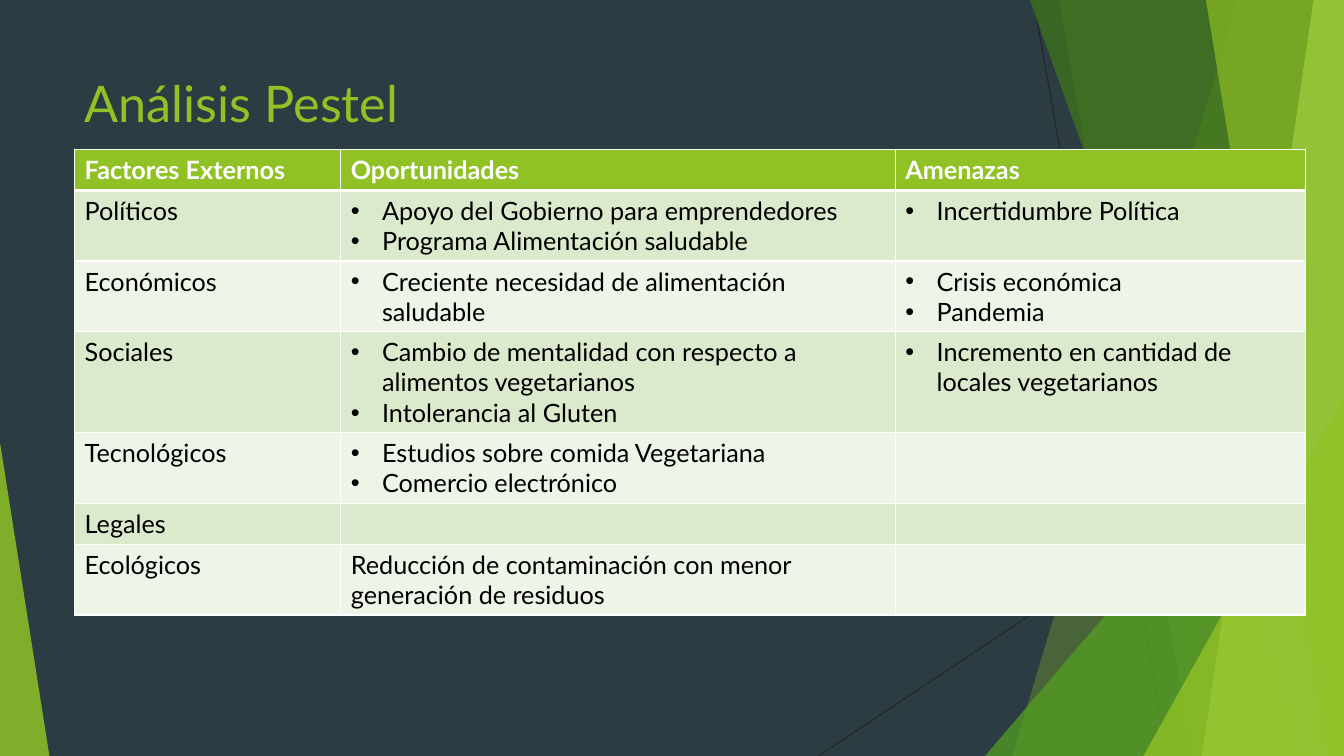
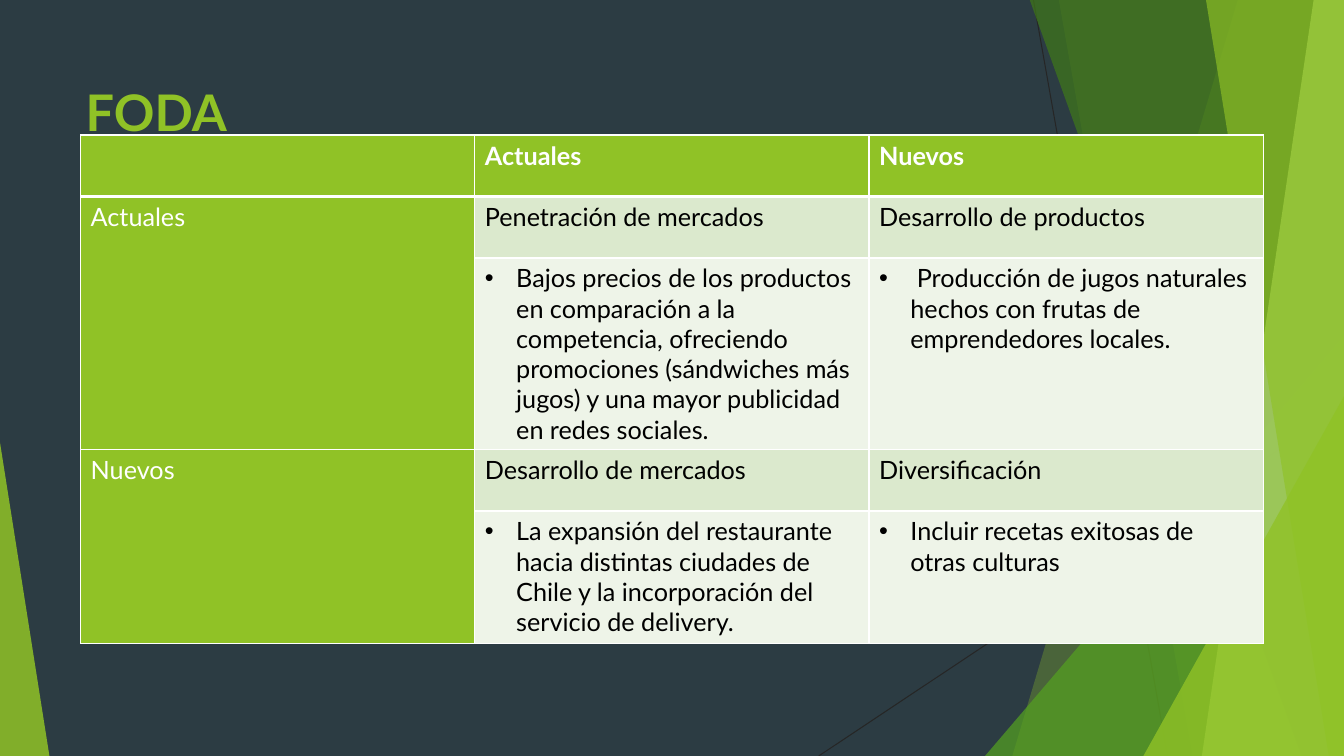
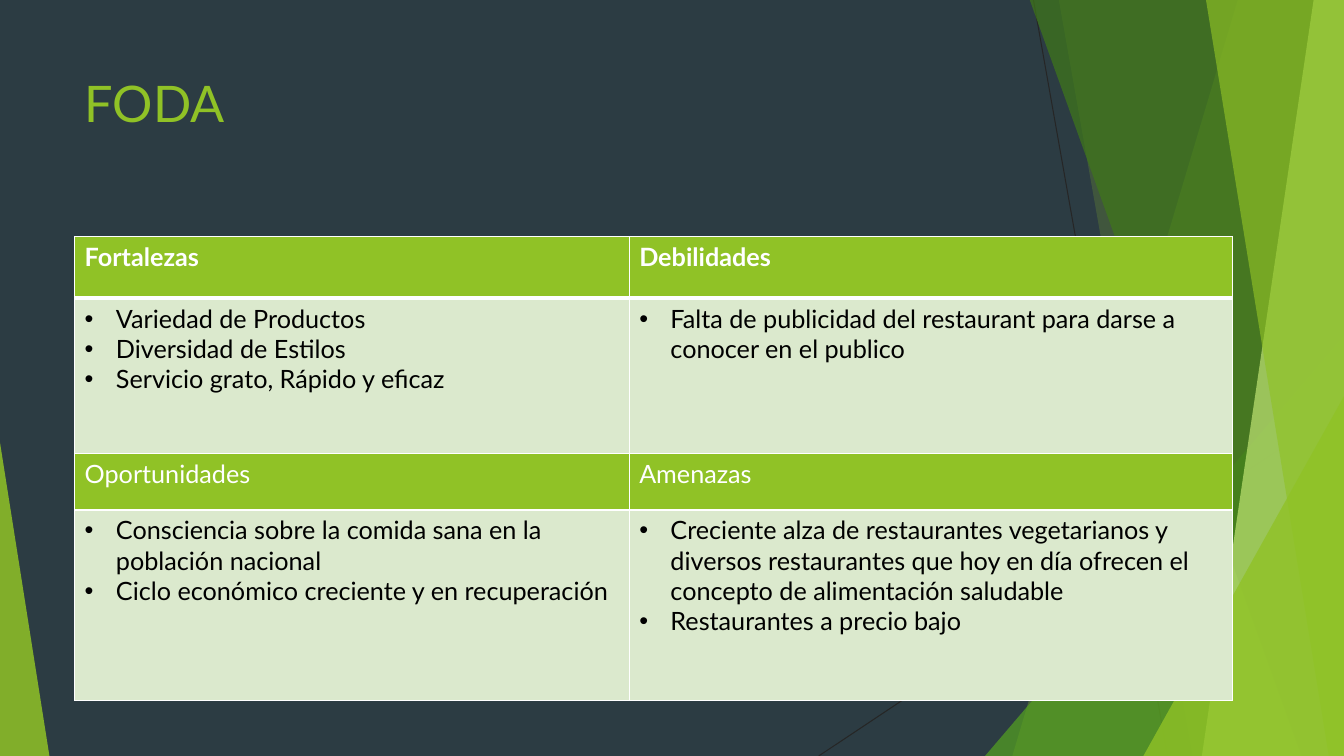
from dataclasses import dataclass

from lxml.etree import SubElement
from pptx import Presentation
from pptx.dml.color import RGBColor
from pptx.enum.shapes import MSO_CONNECTOR as Connector, MSO_SHAPE as Preset
from pptx.enum.text import MSO_ANCHOR as Anchor, MSO_AUTO_SIZE as AutoSize, PP_ALIGN as Align
from pptx.oxml.ns import qn
from pptx.util import Inches, Pt

# Shared look
FONT = "Lato"
BACKGROUND, GREEN, LEAF, FOREST, LIME = "2C3C43", "90C226", "54A021", "3F7819", "C0E474"
LINE, WHITE, BLACK = "262626", "FFFFFF", "000000"
BAND, PALE = "DBE9CD", "EEF4E8"
WIDTH, HEIGHT, BAND_TOP = 13.33, 7.5, -0.01
BULLET_INDENT = Inches(0.31)

Bullets = tuple[str, ...]
Content = str | Bullets


@dataclass(frozen=True)
class Band:
    """Translucent band that reaches the right edge, slanted on its left."""
    top_x: float
    bottom_x: float
    color: str
    opacity: int


@dataclass(frozen=True)
class Triangle:
    """Translucent triangle standing on the bottom edge."""
    left: float
    width: float
    height: float
    apex: float
    color: str
    opacity: int


@dataclass(frozen=True)
class Ray:
    start: tuple[float, float]
    end: tuple[float, float]


@dataclass(frozen=True)
class Row:
    height: float
    fill: str
    cells: tuple[Content, ...]


@dataclass(frozen=True)
class TableSlide:
    title: str
    title_box: tuple[float, float, float, float]
    origin: tuple[float, float]
    columns: tuple[float, ...]
    rows: tuple[Row, ...]
    title_bold: bool = False
    # First and last row of each merged heading in the first column
    side_headings: tuple[tuple[int, int], ...] = ()


DECORATION: tuple[Ray | Band | Triangle, ...] = (
    Ray((10.25, 0), (11.58, HEIGHT)),
    Ray((WIDTH, 4.03), (8.12, HEIGHT)),
    Band(12.28, 10.04, GREEN, 30),
    Band(10.5, 11.83, GREEN, 20),
    Triangle(9.77, 3.56, 4.17, 1, LEAF, 72),
    Band(10.21, 12.91, FOREST, 70),
    Band(13.03, 11.92, LIME, 70),
    Band(11.96, 13.18, GREEN, 65),
    Triangle(11.34, 1.99, 3.57, 1, GREEN, 80),
    Triangle(0, 0.49, 3.11, 0, GREEN, 85),
)

TITLE_BOX = (0.74, 0.67, 9.4, 1.44)

SLIDES = (
    TableSlide(
        "Análisis Pestel", TITLE_BOX, (0.74, 1.48), (2.64, 5.5, 4.07),
        (
            Row(0.41, GREEN, ("Factores Externos", "Oportunidades", "Amenazas")),
            Row(0.41, BAND, (
                "Políticos",
                ("Apoyo del Gobierno para emprendedores", "Programa Alimentación saludable"),
                ("Incertidumbre Política",))),
            Row(0.41, PALE, (
                "Económicos",
                ("Creciente necesidad de alimentación saludable",),
                ("Crisis económica", "Pandemia"))),
            Row(0.41, BAND, (
                "Sociales",
                ("Cambio de mentalidad con respecto a alimentos vegetarianos",
                 "Intolerancia al Gluten"),
                ("Incremento en cantidad de locales vegetarianos",))),
            Row(0.41, PALE, (
                "Tecnológicos",
                ("Estudios sobre comida Vegetariana", "Comercio electrónico"),
                "")),
            Row(0.41, BAND, ("Legales", "", "")),
            Row(0.41, PALE, (
                "Ecológicos",
                "Reducción de contaminación con menor generación de residuos",
                "")),
        ),
    ),
    TableSlide(
        "FODA", (0.75, 0.75, 9.33, 1.65), (0.8, 1.34), (3.91,) * 3,
        (
            Row(0.61, GREEN, ("", "Actuales", "Nuevos")),
            Row(0.61, BAND, ("Actuales", "Penetración de mercados", "Desarrollo de productos")),
            Row(1.62, PALE, (
                "",
                ("Bajos precios de los productos en comparación a la competencia, "
                 "ofreciendo promociones (sándwiches más jugos) y una mayor publicidad "
                 "en redes sociales.",),
                ("\u00a0Producción de jugos naturales hechos con frutas de "
                 "emprendedores locales.",))),
            Row(0.61, BAND, ("Nuevos", "Desarrollo de mercados", "Diversificación")),
            Row(1.31, PALE, (
                "",
                ("La expansión del restaurante hacia distintas ciudades de Chile y la "
                 "incorporación del servicio de delivery.",),
                ("Incluir recetas exitosas de otras culturas",))),
        ),
        title_bold=True,
        side_headings=((1, 2), (3, 4)),
    ),
    TableSlide(
        "FODA", TITLE_BOX, (0.74, 2.35), (5.5, 5.98),
        (
            Row(0.61, GREEN, ("Fortalezas", "Debilidades")),
            Row(1.54, BAND, (
                ("Variedad de Productos", "Diversidad de Estilos",
                 "Servicio grato, Rápido y eficaz"),
                ("Falta de publicidad del restaurant para darse a conocer en el publico",))),
            Row(0.56, GREEN, ("Oportunidades", "Amenazas")),
            Row(1.89, BAND, (
                ("Consciencia sobre la comida sana en la población nacional",
                 "Ciclo económico creciente y en recuperación"),
                ("Creciente alza de restaurantes vegetarianos y diversos restaurantes que "
                 "hoy en día ofrecen el concepto de alimentación saludable",
                 "Restaurantes a precio bajo"))),
        ),
    ),
)


def rgb(color: str) -> RGBColor:
    return RGBColor.from_string(color)


def style_font(font, size: float, color: str, bold: bool) -> None:
    font.name, font.size, font.bold = FONT, Pt(size), bold
    font.color.rgb = rgb(color)


# Background decoration
def fill_translucent(shape, color: str, opacity: int) -> None:
    shape.shadow.inherit = False
    shape.line.fill.background()
    shape.fill.solid()
    shape.fill.fore_color.rgb = rgb(color)
    color_element = next(shape.element.spPr.iter(qn("a:srgbClr")))
    SubElement(color_element, qn("a:alpha"), val=str(opacity * 1000))


def draw_ray(shapes, ray: Ray):
    connector = shapes.add_connector(
        Connector.STRAIGHT, *map(Inches, ray.start), *map(Inches, ray.end))
    connector.line.color.rgb = rgb(LINE)
    connector.line.width = Pt(0.75)
    SubElement(connector.element.spPr, qn("a:effectLst"))
    return connector


def draw_band(shapes, band: Band):
    builder = shapes.build_freeform(Inches(band.top_x), Inches(BAND_TOP))
    corners = ((WIDTH, BAND_TOP), (WIDTH, HEIGHT), (band.bottom_x, HEIGHT))
    builder.add_line_segments([(Inches(x), Inches(y)) for x, y in corners], close=True)
    shape = builder.convert_to_shape()
    fill_translucent(shape, band.color, band.opacity)
    return shape


def draw_triangle(shapes, triangle: Triangle):
    shape = shapes.add_shape(
        Preset.ISOSCELES_TRIANGLE, Inches(triangle.left), Inches(HEIGHT - triangle.height),
        Inches(triangle.width), Inches(triangle.height))
    shape.adjustments[0] = triangle.apex
    fill_translucent(shape, triangle.color, triangle.opacity)
    return shape


def decorate_layout(layout, slide) -> None:
    """Draw the decoration with the slide's tools, then hand it to the layout."""
    title = None
    for placeholder in list(layout.placeholders):
        if placeholder.placeholder_format.idx == 0:
            title = placeholder.element
        else:
            placeholder.element.getparent().remove(placeholder.element)
    draw = {Ray: draw_ray, Band: draw_band, Triangle: draw_triangle}
    for item in DECORATION:
        title.addprevious(draw[type(item)](slide.shapes, item).element)


# Title and table
def format_title(title, content: TableSlide) -> None:
    title.left, title.top, title.width, title.height = map(Inches, content.title_box)
    frame = title.text_frame
    frame.text = content.title
    frame.word_wrap = True
    frame.auto_size = AutoSize.NONE
    frame.vertical_anchor = Anchor.TOP
    paragraph = frame.paragraphs[0]
    paragraph.alignment = Align.LEFT
    style_font(paragraph.font, 36, GREEN, content.title_bold)


def set_borders(cell, top: float, bottom: float) -> None:
    properties = cell._tc.get_or_add_tcPr()
    for side, width in (("L", 1), ("R", 1), ("T", top), ("B", bottom)):
        line = SubElement(properties, qn(f"a:ln{side}"), w=str(Pt(width)))
        SubElement(SubElement(line, qn("a:solidFill")), qn("a:srgbClr"), val=WHITE)


def add_bullet(paragraph) -> None:
    properties = paragraph._p.get_or_add_pPr()
    properties.set("marL", str(BULLET_INDENT))
    properties.set("indent", str(-BULLET_INDENT))
    SubElement(properties, qn("a:buFont"), typeface="Arial")
    SubElement(properties, qn("a:buChar"), char="•")


def write_cell(cell, content: Content, color: str, bold: bool) -> None:
    bulleted = isinstance(content, tuple)
    frame = cell.text_frame
    for index, text in enumerate(content if bulleted else (content,)):
        paragraph = frame.add_paragraph() if index else frame.paragraphs[0]
        if bulleted:
            add_bullet(paragraph)
        if text:
            run = paragraph.add_run()
            run.text = text
            style_font(run.font, 18, color, bold)


def draw_table(shapes, content: TableSlide) -> None:
    left, top = content.origin
    table = shapes.add_table(
        len(content.rows), len(content.columns), Inches(left), Inches(top),
        Inches(sum(content.columns)), Inches(sum(row.height for row in content.rows))).table
    table.horz_banding = False
    for column, width in zip(table.columns, content.columns):
        column.width = Inches(width)
    for first, last in content.side_headings:
        table.cell(first, 0).merge(table.cell(last, 0))
    for row_index, row in enumerate(content.rows):
        table.rows[row_index].height = Inches(row.height)
        for column_index, text in enumerate(row.cells):
            cell = table.cell(row_index, column_index)
            is_side = bool(content.side_headings) and column_index == 0
            fill = GREEN if is_side else row.fill
            set_borders(cell, 3 if row_index == 1 else 1, 3 if row_index == 0 else 1)
            cell.fill.solid()
            cell.fill.fore_color.rgb = rgb(fill)
            write_cell(cell, text, WHITE if fill == GREEN else BLACK, row_index == 0)


# Build the presentation
presentation = Presentation()
presentation.slide_width, presentation.slide_height = Inches(WIDTH), Inches(HEIGHT)
master_fill = presentation.slide_master.background.fill
master_fill.solid()
master_fill.fore_color.rgb = rgb(BACKGROUND)
title_only = presentation.slide_layouts[5]

for number, slide_content in enumerate(SLIDES):
    slide = presentation.slides.add_slide(title_only)
    if number == 0:
        decorate_layout(title_only, slide)
    format_title(slide.shapes.title, slide_content)
    draw_table(slide.shapes, slide_content)

presentation.save("out.pptx")
